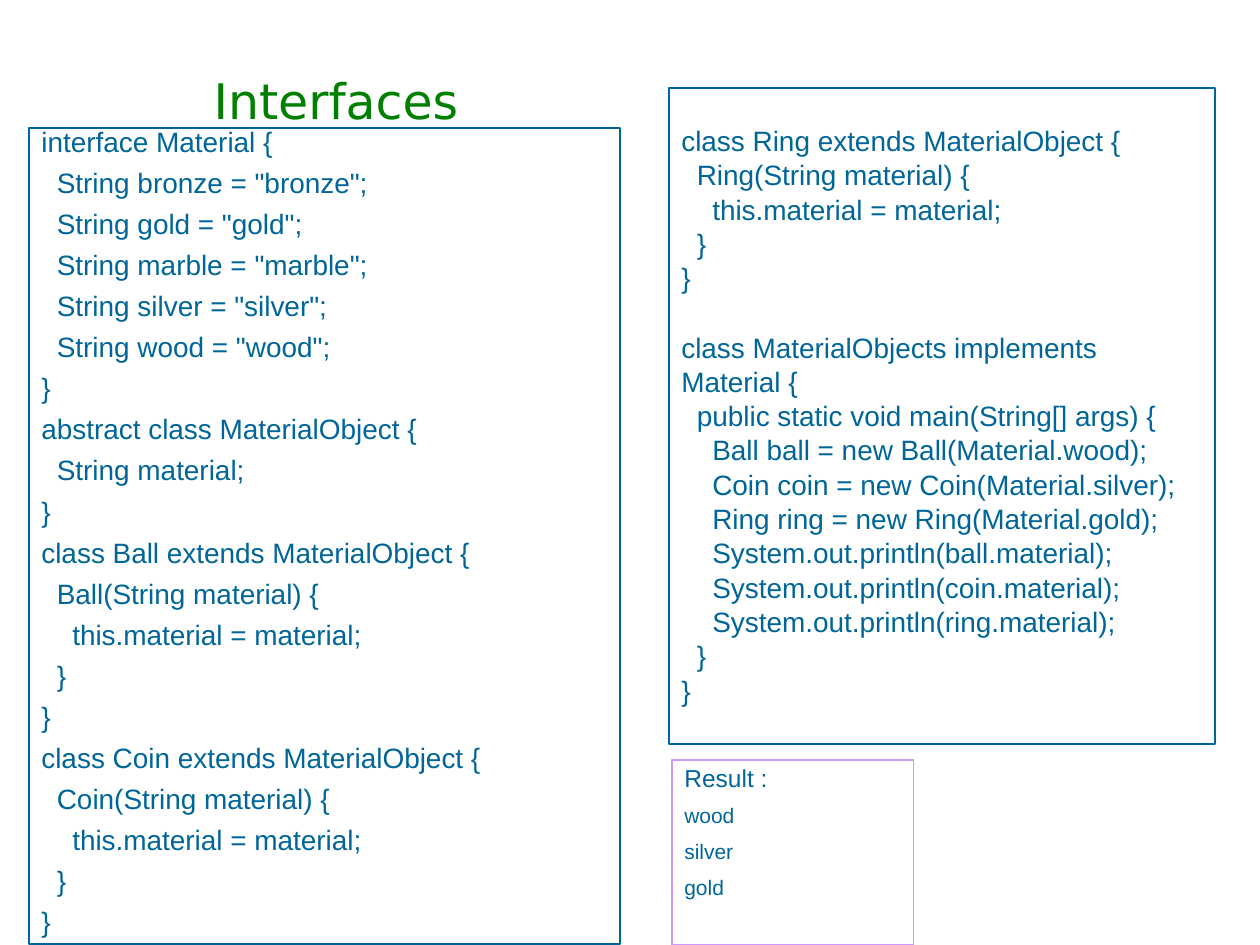
from pptx import Presentation
from pptx import util as u
from pptx.dml.color import RGBColor
from pptx.enum import shapes, text

PX = u.Inches(1) // 126
COLORS = {"title": "008000", "code": "006699", "result": "CC99FF"}

MATERIALS = """interface Material {
  String bronze = "bronze";
  String gold = "gold";
  String marble = "marble";
  String silver = "silver";
  String wood = "wood";
}
abstract class MaterialObject {
  String material;
}
class Ball extends MaterialObject {
  Ball(String material) {
    this.material = material;
  }
}
class Coin extends MaterialObject {
  Coin(String material) {
    this.material = material;
  }
}"""

RING = """class Ring extends MaterialObject {
  Ring(String material) {
    this.material = material;
  }
}"""

MAIN = """class MaterialObjects implements
Material {
  public static void main(String[] args) {
    Ball ball = new Ball(Material.wood);
    Coin coin = new Coin(Material.silver);
    Ring ring = new Ring(Material.gold);
    System.out.println(ball.material);
    System.out.println(coin.material);
    System.out.println(ring.material);
  }
}"""


def add_panel(left, top, width, height, outline, inset=6):
    panel = page.shapes.add_shape(
        shapes.MSO_SHAPE.RECTANGLE, left * PX, top * PX, width * PX, height * PX
    )
    panel.shadow.inherit = False
    panel.fill.background()
    panel.line.color.rgb = RGBColor.from_string(COLORS[outline])
    panel.line.width = u.Pt(0.75)
    frame = panel.text_frame
    frame.word_wrap = True
    frame.vertical_anchor = text.MSO_ANCHOR.TOP
    frame.margin_top = inset * PX
    return frame


def write(frame, content, size=16, font="Arial", color="code", spacing=0.9,
          before=10, lead=None, align=text.PP_ALIGN.LEFT):
    for number, line in enumerate(content.split("\n")):
        first = not frame.text
        para = frame.paragraphs[0] if first else frame.add_paragraph()
        para.alignment = align
        para.line_spacing = spacing
        if not first:
            para.space_before = u.Pt(lead if lead and number == 0 else before)
        span = para.add_run()
        span.text = line
        span.font.size = u.Pt(size)
        span.font.name = font
        span.font.color.rgb = RGBColor.from_string(COLORS[color])


deck = Presentation()
deck.slide_width = 1260 * PX
deck.slide_height = 945 * PX
page = deck.slides.add_slide(deck.slide_layouts[6])

title = page.shapes.add_textbox(147 * PX, 63 * PX, 378 * PX, 73 * PX).text_frame
title.word_wrap = True
title.vertical_anchor = text.MSO_ANCHOR.BOTTOM
write(title, "Interfaces", size=28, font="DejaVu Sans", color="title",
      align=text.PP_ALIGN.CENTER)

program = add_panel(669, 88, 546, 656, "code", inset=50)
write(program, RING, spacing=0.5)
write(program, MAIN, spacing=0.5, lead=30)

materials = add_panel(29, 128, 591, 816, "code")
write(materials, MATERIALS, spacing=0.7)

result = add_panel(672, 760, 242, 185, "result")
write(result, "Result :", size=14)
write(result, "wood\nsilver\ngold", size=12, before=7.5)

deck.save("out.pptx")
